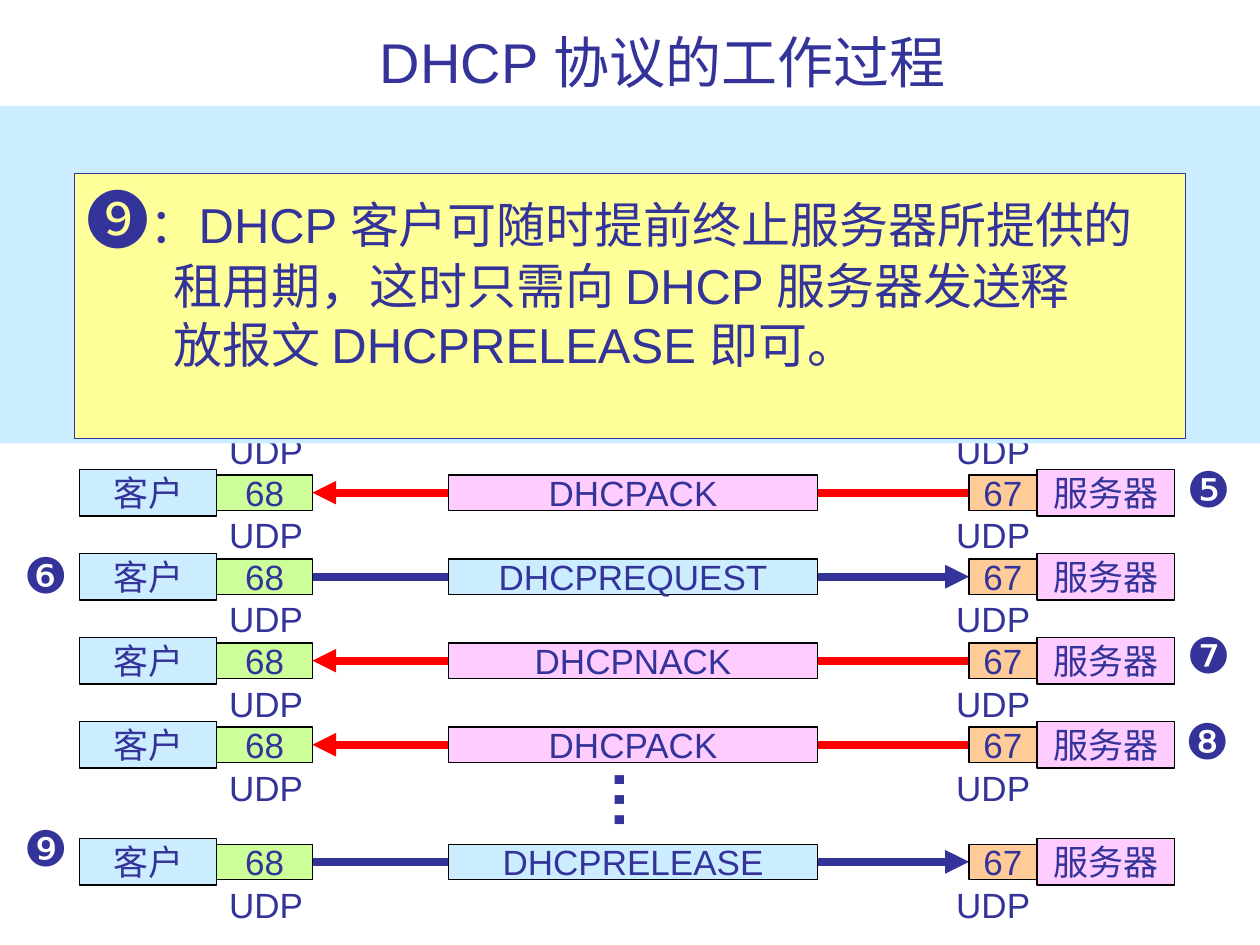
from dataclasses import dataclass

import pptx
import pptx.dml.color
import pptx.enum.shapes
import pptx.enum.text
import pptx.oxml
import pptx.oxml.ns
import pptx.presentation
import pptx.shapes.autoshape
import pptx.slide
import pptx.util

RGBColor = pptx.dml.color.RGBColor
INDIGO = RGBColor(0x33, 0x33, 0x99)
RED = RGBColor(0xFF, 0x00, 0x00)
BLACK = RGBColor(0x00, 0x00, 0x00)
SKY = RGBColor(0xCC, 0xEC, 0xFF)
PINK = RGBColor(0xFF, 0xCC, 0xFF)
PEACH = RGBColor(0xFF, 0xCC, 0x99)
LIME = RGBColor(0xCC, 0xFF, 0x99)
YELLOW = RGBColor(0xFF, 0xFF, 0x99)

SLIDE_WIDTH = pptx.util.Inches(10)
SLIDE_HEIGHT = pptx.util.Inches(7.5)
GRID_COLUMNS = 100
GRID_ROWS = 75

CLIENT_PORT_RIGHT = 24.8
SERVER_PORT_LEFT = 76.9
FIRST_EXCHANGE = 39.1
EXCHANGE_PITCH = 6.67
LAST_EXCHANGE = 68.4
UDP_OFFSET = 1.2

ALIGN = pptx.enum.text.PP_ALIGN
ANCHOR = pptx.enum.text.MSO_ANCHOR
AUTO_SIZE = pptx.enum.text.MSO_AUTO_SIZE


@dataclass(frozen=True)
class Area:
    column: float
    row: float
    columns: float
    rows: float

    def lengths(self) -> tuple[int, int, int, int]:
        return (across(self.column), down(self.row),
                across(self.columns), down(self.rows))


@dataclass(frozen=True)
class Cell:
    column: float
    columns: float
    rows: float
    text: str
    fill: RGBColor


@dataclass(frozen=True)
class Exchange:
    middle: float
    message: str
    from_client: bool


@dataclass(frozen=True)
class Label:
    area: Area
    text: str
    size: float = 28
    bold: bool = False
    rotation: float = 0


END_CELLS = (
    Cell(6.3, 10.9, 3.7, "客户", SKY),
    Cell(82.3, 10.9, 3.7, "服务器", PINK),
    Cell(SERVER_PORT_LEFT, 5.4, 2.8, "67", PEACH),
    Cell(17.2, 7.6, 2.8, "68", LIME),
)
EXCHANGES = (
    Exchange(FIRST_EXCHANGE, "DHCPACK", False),
    Exchange(FIRST_EXCHANGE + EXCHANGE_PITCH, "DHCPREQUEST", True),
    Exchange(FIRST_EXCHANGE + 2 * EXCHANGE_PITCH, "DHCPNACK", False),
    Exchange(FIRST_EXCHANGE + 3 * EXCHANGE_PITCH, "DHCPACK", False),
    Exchange(LAST_EXCHANGE, "DHCPRELEASE", True),
)
LABELS = (
    Label(Area(93.2, 35.9, 5.5, 5.7), "❺"),
    Label(Area(0.9, 42.7, 5.5, 5.7), "❻"),
    Label(Area(93.2, 49.1, 5.5, 5.7), "❼"),
    Label(Area(93.1, 55.9, 5.5, 5.7), "❽"),
    Label(Area(44.1, 60, 7, 7), "…", size=36, bold=True, rotation=270),
    Label(Area(0.9, 64.4, 5.5, 5.7), "❾"),
)


def across(columns: float) -> int:
    return round(SLIDE_WIDTH * columns / GRID_COLUMNS)


def down(rows: float) -> int:
    return round(SLIDE_HEIGHT * rows / GRID_ROWS)


def write_text(paragraph, text: str, *, size: float = 20, bold: bool = False,
               alignment: ALIGN = ALIGN.LEFT) -> None:
    paragraph.alignment = alignment
    run = paragraph.add_run()
    run.text = text
    run.font.name = "Arial"
    run.font.size = pptx.util.Pt(size)
    run.font.bold = bold
    run.font.color.rgb = INDIGO


def add_box(slide: pptx.slide.Slide, area: Area, fill: RGBColor,
            line: RGBColor | None = None) -> pptx.shapes.autoshape.Shape:
    shape = slide.shapes.add_shape(
        pptx.enum.shapes.MSO_SHAPE.RECTANGLE, *area.lengths())
    shape.shadow.inherit = False
    shape.fill.solid()
    shape.fill.fore_color.rgb = fill
    if line is None:
        shape.line.fill.background()
    else:
        shape.line.color.rgb = line
        shape.line.width = pptx.util.Pt(0.75)
    return shape


def add_cell(slide: pptx.slide.Slide, cell: Cell, middle: float) -> None:
    area = Area(cell.column, middle - cell.rows / 2, cell.columns, cell.rows)
    frame = add_box(slide, area, cell.fill, BLACK).text_frame
    frame.word_wrap = False
    frame.vertical_anchor = ANCHOR.MIDDLE
    write_text(frame.paragraphs[0], cell.text, alignment=ALIGN.CENTER)


def add_label(slide: pptx.slide.Slide, label: Label) -> None:
    shape = slide.shapes.add_textbox(*label.area.lengths())
    shape.rotation = label.rotation
    shape.text_frame.word_wrap = False
    shape.text_frame.auto_size = AUTO_SIZE.SHAPE_TO_FIT_TEXT
    write_text(shape.text_frame.paragraphs[0], label.text,
               size=label.size, bold=label.bold)


def add_udp_pair(slide: pptx.slide.Slide, middle: float) -> None:
    for column in (17.2, 74.9):
        area = Area(column, middle + UDP_OFFSET, 7.9, 4.4)
        add_label(slide, Label(area, "UDP", size=20))


def add_arrow(slide: pptx.slide.Slide, exchange: Exchange) -> None:
    start, end = CLIENT_PORT_RIGHT, SERVER_PORT_LEFT
    if not exchange.from_client:
        start, end = end, start
    height = down(exchange.middle)
    arrow = slide.shapes.add_connector(
        pptx.enum.shapes.MSO_CONNECTOR.STRAIGHT,
        across(start), height, across(end), height)
    arrow.line.color.rgb = INDIGO if exchange.from_client else RED
    arrow.line.width = pptx.util.Pt(4.5)
    namespace = pptx.oxml.ns.nsdecls("a")
    arrow.line._get_or_add_ln().append(
        pptx.oxml.parse_xml(f'<a:tailEnd {namespace} type="triangle"/>'))
    arrow._element.spPr.append(
        pptx.oxml.parse_xml(f"<a:effectLst {namespace}/>"))


def add_exchange(slide: pptx.slide.Slide, exchange: Exchange) -> None:
    add_arrow(slide, exchange)
    message_fill = SKY if exchange.from_client else PINK
    message = Cell(35.6, 29.3, 2.8, exchange.message, message_fill)
    for cell in (message, *END_CELLS):
        add_cell(slide, cell, exchange.middle)
    add_udp_pair(slide, exchange.middle)


def add_title(slide: pptx.slide.Slide) -> None:
    title = slide.shapes.title
    title.left, title.top, title.width, title.height = Area(
        10, 2.1, 85.2, 5.9).lengths()
    title.text_frame.vertical_anchor = ANCHOR.BOTTOM
    title.text_frame.auto_size = AUTO_SIZE.NONE
    write_text(title.text_frame.paragraphs[0], "DHCP 协议的工作过程",
               size=32, alignment=ALIGN.CENTER)


def add_explanation(slide: pptx.slide.Slide) -> None:
    add_box(slide, Area(0, 8.4, GRID_COLUMNS, 26.8), SKY)
    frame = add_box(slide, Area(5.9, 13.8, 88.2, 21), YELLOW, INDIGO).text_frame
    frame.word_wrap = True
    frame.vertical_anchor = ANCHOR.TOP
    opening = frame.paragraphs[0]
    write_text(opening, "❾", size=36, alignment=ALIGN.JUSTIFY)
    write_text(opening, "：DHCP 客户可随时提前终止服务器所提供的",
               size=28, alignment=ALIGN.JUSTIFY)
    for text in ("租用期，这时只需向 DHCP 服务器发送释",
                 "放报文 DHCPRELEASE 即可。"):
        paragraph = frame.add_paragraph()
        paragraph._p.get_or_add_pPr().set("marL", str(across(6.9)))
        write_text(paragraph, text, size=28, alignment=ALIGN.JUSTIFY)


def main() -> None:
    presentation = pptx.Presentation()
    presentation.slide_width = SLIDE_WIDTH
    presentation.slide_height = SLIDE_HEIGHT
    slide = presentation.slides.add_slide(presentation.slide_layouts[5])
    add_title(slide)
    add_udp_pair(slide, FIRST_EXCHANGE - EXCHANGE_PITCH)
    for exchange in EXCHANGES:
        add_exchange(slide, exchange)
    for label in LABELS:
        add_label(slide, label)
    add_explanation(slide)
    presentation.save("out.pptx")


if __name__ == "__main__":
    main()
